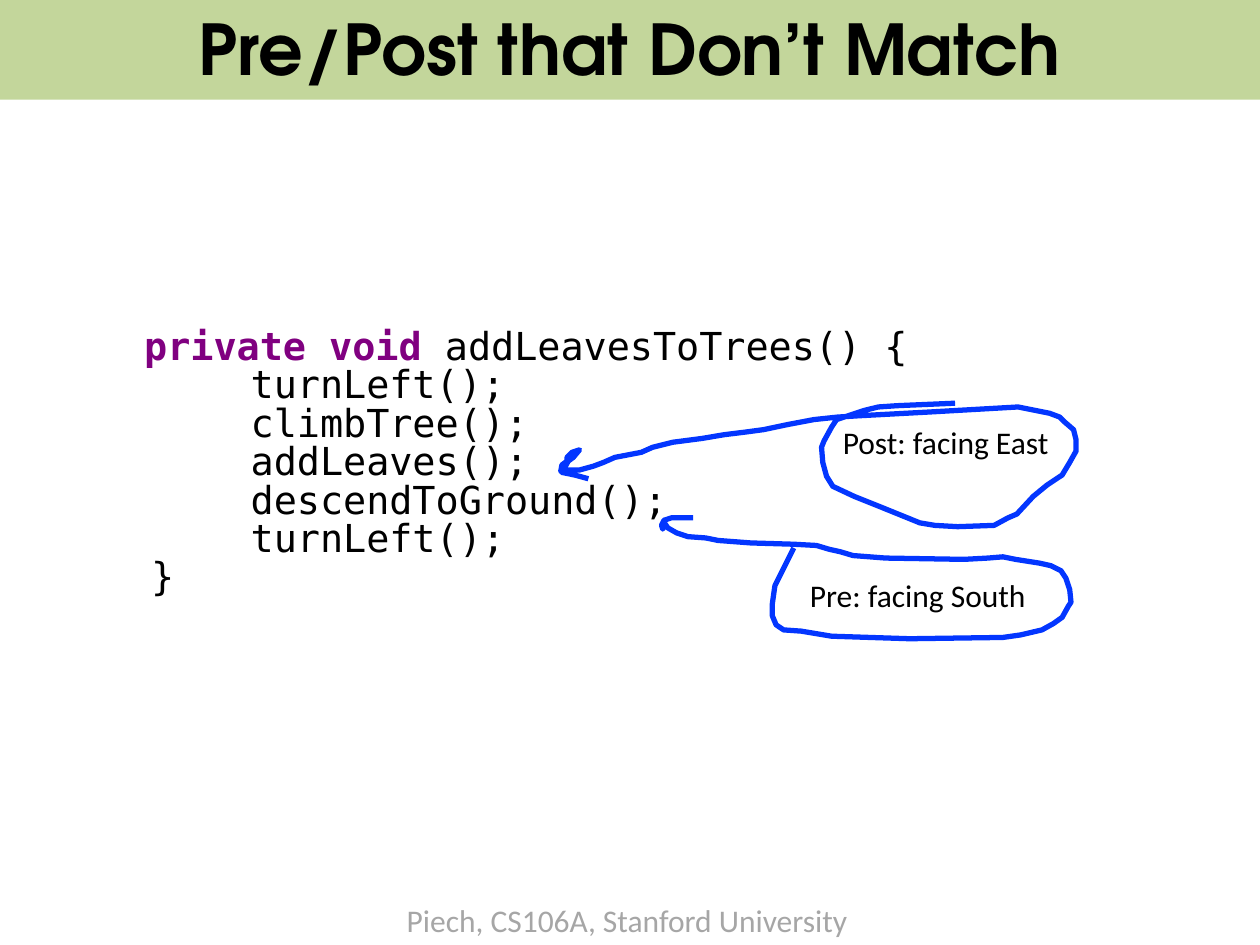
"""Build the slide on mismatched pre- and postconditions, on a 1000 by 750 grid."""
from dataclasses import dataclass

import pptx
import pptx.dml.color
import pptx.enum.shapes
import pptx.enum.text
import pptx.oxml.ns
import pptx.shapes.base
import pptx.slide
import pptx.util
from lxml import etree

RGBColor = pptx.dml.color.RGBColor
Align = pptx.enum.text.PP_ALIGN
Anchor = pptx.enum.text.MSO_ANCHOR

BLACK = RGBColor(0x00, 0x00, 0x00)
GREY = RGBColor(0xA6, 0xA6, 0xA6)
GREEN = RGBColor(0xC3, 0xD6, 0x9B)
PURPLE = RGBColor(0x80, 0x00, 0x80)
INK = RGBColor(0x03, 0x36, 0xFF)

COLUMNS, ROWS = 1000, 750
CELL = pptx.util.Inches(10) // COLUMNS
TAB_STEP = 79
Points = list[tuple[int, int]]


@dataclass(frozen=True)
class Box:
    """Place on the grid, in columns and rows."""
    left: int
    top: int
    width: int
    height: int

    def lengths(self) -> list[int]:
        """Return left, top, width and height as slide lengths."""
        return [n * CELL for n in (self.left, self.top, self.width, self.height)]


@dataclass(frozen=True)
class Remark:
    """A condition and the hand-drawn stroke that ties it to the code."""
    text: str
    box: Box
    stroke: Points


KEYWORDS = "private void "
CODE = [
    "    " + KEYWORDS + "addLeavesToTrees() {",
    "\t\tturnLeft();",
    "\t\tclimbTree();",
    "\t\taddLeaves();",
    "\t\tdescendToGround();",
    "\t\tturnLeft();",
    "\t}",
]

REMARKS = [
    Remark("Post: facing East", Box(659, 331, 185, 40), [
        (758, 320), (712, 322), (697, 323), (685, 326), (664, 333), (660, 339),
        (654, 350), (652, 355), (653, 367), (656, 378), (661, 386), (678, 394),
        (698, 402), (730, 415), (742, 417), (760, 418), (789, 417), (800, 411),
        (807, 408), (820, 394), (831, 385), (843, 377), (849, 367), (854, 358),
        (854, 349), (852, 341), (845, 335), (841, 331), (833, 328), (808, 323),
        (738, 327), (682, 330), (665, 331), (646, 333), (625, 337), (606, 341),
        (591, 343), (575, 345), (557, 348), (534, 351), (518, 355), (509, 359),
        (488, 363), (479, 367), (471, 370), (460, 373), (449, 373), (445, 374),
        (446, 369), (450, 366), (450, 363), (454, 359), (460, 357), (455, 363),
        (451, 366), (446, 375), (456, 377), (467, 380)]),
    Remark("Pre: facing South", Box(633, 452, 194, 40), [
        (630, 435), (622, 451), (615, 465), (613, 479), (613, 489), (616, 496),
        (622, 500), (636, 501), (660, 505), (722, 507), (796, 506), (810, 504),
        (827, 500), (836, 495), (843, 490), (848, 481), (850, 478), (849, 468),
        (846, 459), (842, 453), (834, 449), (825, 447), (806, 444), (796, 442),
        (784, 443), (765, 444), (703, 443), (677, 441), (667, 438), (658, 436),
        (648, 433), (630, 432), (596, 431), (570, 429), (560, 427), (546, 426),
        (537, 423), (530, 419), (528, 416), (526, 420), (525, 417), (527, 413),
        (533, 411), (550, 411)]),
]


def write(shape: pptx.shapes.base.BaseShape, lines: list[str], *, font: str,
          size: int, color: RGBColor = BLACK, bold: bool = False,
          align: Align = Align.LEFT, anchor: Anchor = Anchor.TOP,
          wrap: bool = True, spacing: float = 1.0, tabs: int = 0,
          keywords: str = "") -> None:
    """Fill a shape with formatted lines, setting off the keywords."""
    frame = shape.text_frame
    frame.word_wrap = wrap
    frame.vertical_anchor = anchor
    for index, line in enumerate(lines):
        paragraph = frame.add_paragraph() if index else frame.paragraphs[0]
        paragraph.alignment = align
        paragraph.line_spacing = spacing
        if tabs:
            stops = etree.SubElement(paragraph._p.get_or_add_pPr(),
                                     pptx.oxml.ns.qn("a:tabLst"))
            for stop in range(1, tabs + 1):
                etree.SubElement(stops, pptx.oxml.ns.qn("a:tab"), algn="l",
                                 pos=str(stop * TAB_STEP * CELL))
        parts = line.partition(keywords) if keywords else (line,)
        for part in filter(None, parts):
            marked = part == keywords
            run = paragraph.add_run()
            run.text = part
            run.font.name = font
            run.font.size = pptx.util.Pt(size)
            run.font.bold = bold or marked
            run.font.color.rgb = PURPLE if marked else color


def add_text(slide: pptx.slide.Slide, box: Box) -> pptx.shapes.base.BaseShape:
    """Add an empty text box."""
    return slide.shapes.add_textbox(*box.lengths())


def add_title(slide: pptx.slide.Slide) -> None:
    """Add the title on its band across the slide."""
    band = slide.shapes.add_shape(pptx.enum.shapes.MSO_SHAPE.RECTANGLE,
                                  *Box(0, -3, COLUMNS, 82).lengths())
    band.shadow.inherit = False
    band.fill.solid()
    band.fill.fore_color.rgb = GREEN
    band.line.fill.background()
    write(band, ["Pre/Post that Don’t Match"], font="TeX Gyre Adventor", size=40,
          bold=True, align=Align.CENTER, anchor=Anchor.MIDDLE)


def add_code(slide: pptx.slide.Slide) -> None:
    """Add the method under discussion."""
    listing = add_text(slide, Box(41, 257, 900, 230))
    frame = listing.text_frame
    frame.margin_left = frame.margin_right = frame.margin_bottom = 0
    write(listing, CODE, font="DejaVu Sans Mono", size=22, spacing=0.83, tabs=2,
          keywords=KEYWORDS)


def add_stroke(slide: pptx.slide.Slide, points: Points) -> None:
    """Draw an open pen stroke through the points."""
    builder = slide.shapes.build_freeform(*points[0], scale=CELL)
    builder.add_line_segments(points[1:], close=False)
    stroke = builder.convert_to_shape()
    stroke.shadow.inherit = False
    stroke.fill.background()
    stroke.line.color.rgb = INK
    stroke.line.width = pptx.util.Pt(3)


def main() -> None:
    """Build and save the slide."""
    deck = pptx.Presentation()
    deck.slide_width, deck.slide_height = COLUMNS * CELL, ROWS * CELL
    slide = deck.slides.add_slide(deck.slide_layouts[6])
    write(add_text(slide, Box(313, 710, 374, 40)),
          ["Piech, CS106A, Stanford University"],
          font="Calibri", size=18, color=GREY, wrap=False)
    add_title(slide)
    add_code(slide)
    for remark in REMARKS:
        write(add_text(slide, remark.box), [remark.text], font="Calibri", size=18,
              wrap=False)
    for remark in REMARKS:
        add_stroke(slide, remark.stroke)
    deck.save("out.pptx")


if __name__ == "__main__":
    main()
